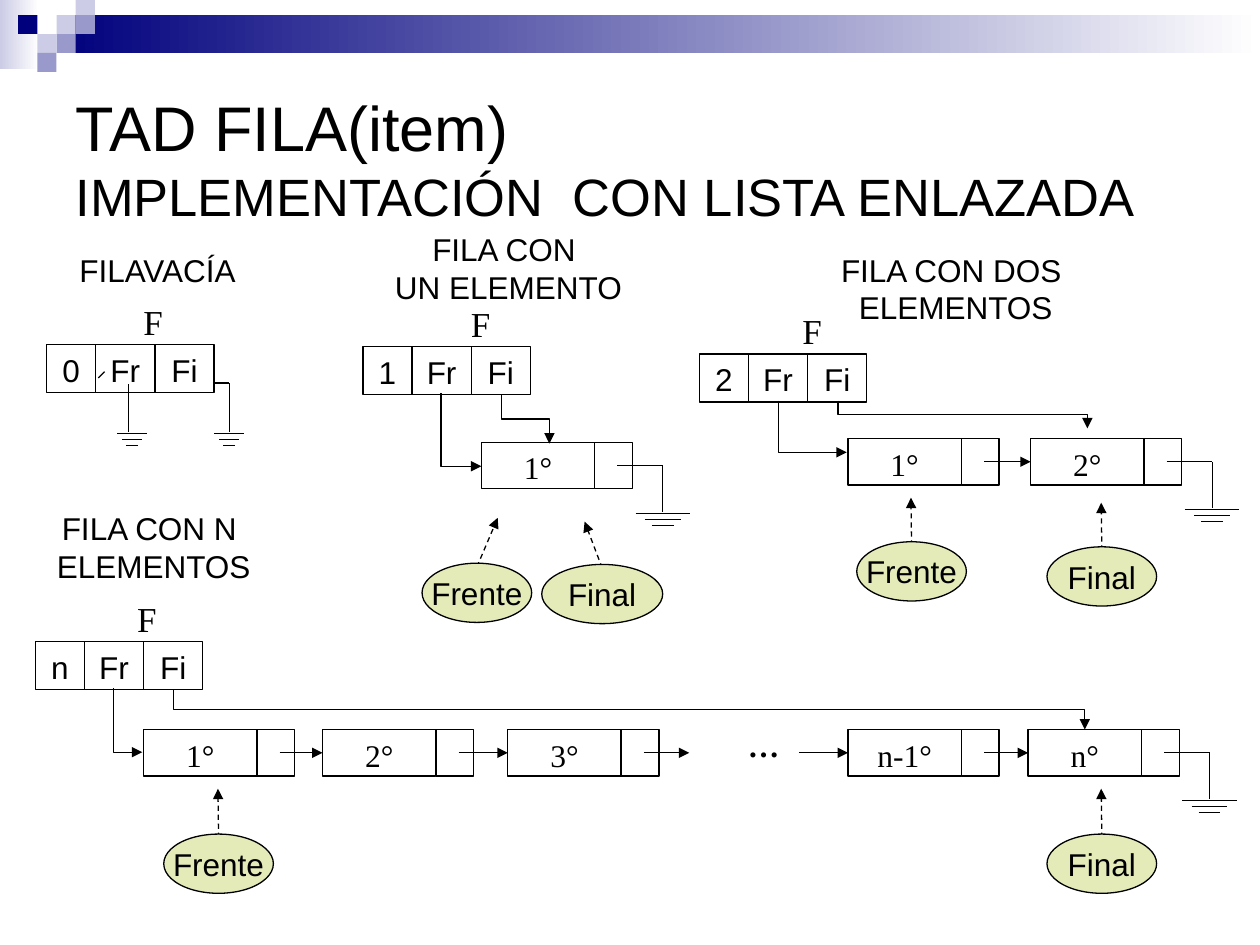
"""Slide on the linked-list implementation of a queue, with four states drawn."""
from dataclasses import dataclass

import pptx
import pptx.dml.color
import pptx.enum.dml
import pptx.enum.shapes
import pptx.enum.text
import pptx.oxml
import pptx.oxml.ns
import pptx.util
from lxml import etree

KIND = pptx.enum.shapes.MSO_SHAPE
WIRE = pptx.enum.shapes.MSO_CONNECTOR
ALIGN = pptx.enum.text.PP_ALIGN
ANCHOR = pptx.enum.text.MSO_ANCHOR
COLUMNS, ROWS = 100, 75
CELL = pptx.util.Inches(0.1)


@dataclass(frozen=True)
class Theme:
    ink: str = "000000"
    paper: str = "FFFFFF"
    oval: str = "E4EAB8"
    navy: str = "00007D"
    violet: str = "9999CC"
    pale: str = "CCCCE6"
    sans: str = "Arial"
    serif: str = "Times New Roman"
    title: int = 36
    subtitle: int = 30
    name: int = 20
    body: int = 18
    line: float = 0.75
    thin: float = 0.5


THEME = Theme()


def grid(*cells):
    """Turn columns or rows into slide lengths."""
    return [round(cell * CELL) for cell in cells]


def rgb(code):
    """Return the colour for a hex code."""
    return pptx.dml.color.RGBColor.from_string(code)


def set_font(font, face, size, bold=None):
    """Give a font its face, size and ink."""
    font.name, font.size, font.bold = face, pptx.util.Pt(size), bold
    font.color.rgb = rgb(THEME.ink)


def write(box, text, face=THEME.sans, size=THEME.body, wrap=True, bold=None):
    """Write centred paragraphs into a shape."""
    frame = box.text_frame
    frame.text, frame.word_wrap = text, wrap
    for para in frame.paragraphs:
        para.alignment = ALIGN.CENTER
        set_font(para.font, face, size, bold)


def add_label(page, text, place, **style):
    """Add a text box."""
    write(page.shapes.add_textbox(*grid(*place)), text, **style)


def add_block(page, place, fill, kind=KIND.RECTANGLE, outlined=True):
    """Add a filled shape; a pair of fills makes a gradient."""
    box = page.shapes.add_shape(kind, *grid(*place))
    box.shadow.inherit = False
    if isinstance(fill, tuple):
        box.fill.gradient()
        box.fill.gradient_angle = 0
        for stop, code in zip(box.fill.gradient_stops, fill):
            stop.color.rgb = rgb(code)
    else:
        box.fill.solid()
        box.fill.fore_color.rgb = rgb(fill)
    if outlined:
        box.line.color.rgb = rgb(THEME.ink)
        box.line.width = pptx.util.Pt(THEME.line)
    else:
        box.line.fill.background()
    box.text_frame.vertical_anchor = ANCHOR.TOP
    return box


def add_line(page, start, end, arrow=False, dashed=False, width=THEME.line, kind=WIRE.STRAIGHT):
    """Add a connector, with an arrowhead at its end if asked."""
    wire = page.shapes.add_connector(kind, *grid(*start, *end))
    wire.line.color.rgb = rgb(THEME.ink)
    wire.line.width = pptx.util.Pt(width)
    if dashed:
        wire.line.dash_style = pptx.enum.dml.MSO_LINE.DASH
    if arrow:
        etree.SubElement(wire.line._get_or_add_ln(), pptx.oxml.ns.qn("a:tailEnd"), type="triangle")
    etree.SubElement(wire._element.spPr, pptx.oxml.ns.qn("a:effectLst"))
    return wire


def add_elbow(page, start, end, preset):
    """Add a bent arrow that leaves its start downwards."""
    across, down = end[0] - start[0], end[1] - start[1]
    left = (start[0] + end[0] - down) / 2
    top = (start[1] + end[1] - across) / 2
    wire = add_line(page, (left, top), (left + down, top + across), arrow=True, kind=WIRE.ELBOW)
    frame = wire._element.spPr.find(pptx.oxml.ns.qn("a:xfrm"))
    frame.set("rot", "16200000")
    frame.set("flipH", "1")
    wire._element.spPr.find(pptx.oxml.ns.qn("a:prstGeom")).set("prst", preset)


def add_ground(page, column, top, bottom, width, middle=None):
    """Add a stem that ends in three shrinking bars."""
    add_line(page, (column, top), (column, bottom), width=THEME.thin)
    middle = middle or column
    for step, share in enumerate((1, 0.66, 0.4)):
        half, row = width * share / 2, bottom + 0.1 + step * 0.47
        add_line(page, (middle - half, row), (middle + half, row))


def add_header(page, count, column, row, name_column):
    """Add a queue record: count, front and end, with F above."""
    add_label(page, "F", (name_column, row - 4, 5.3, 5.7), face=THEME.serif, size=THEME.name)
    for text, left, width in ((count, -3.9, 3.9), ("Fr", 0, 4.7), ("Fi", 4.7, 4.7)):
        write(add_block(page, (column + left, row, width, 3.8), THEME.paper), text, wrap=False)


def add_node(page, text, column, row):
    """Add a list node and return its value box."""
    value = add_block(page, (column, row, 9, 3.7), THEME.paper)
    write(value, text, face=THEME.serif, wrap=False)
    add_block(page, (column + 9, row, 3, 3.7), THEME.paper)
    return value


def add_next(page, column, row, target=None):
    """Add the arrow out of the node at a column, joined to its target."""
    start = column + 10.8
    wire = add_line(page, (start, row + 1.85), (start + 3.6, row + 1.85), arrow=True)
    if target:
        wire.end_connect(target, 1)


def add_null(page, column, row):
    """End the list at a node with a ground sign."""
    level = row + 1.85
    add_line(page, (column + 10.8, level), (column + 14.4, level))
    add_ground(page, column + 14.4, level, level + 3.7, 4.3)


def add_marker(page, text, column, row, tip, width=8.7):
    """Add an oval with a dashed arrow up to its tip."""
    middle = column + width / 2
    add_line(page, (middle, row + 0.3), tip, arrow=True, dashed=True)
    oval = add_block(page, (column, row, width, 4.7), THEME.oval, KIND.OVAL)
    write(oval, text, wrap=False)
    oval.text_frame.vertical_anchor = ANCHOR.MIDDLE


def add_band(page):
    """Add the gradient band and its checkered corner."""
    add_block(page, (0, -0.3, 3.1, 5.8), (THEME.pale, THEME.paper), outlined=False)
    add_block(page, (4.5, 1.2, 95.5, 3), (THEME.navy, THEME.paper), outlined=False)
    squares = ((2, 1, THEME.pale), (3, 0, THEME.pale), (3, 1, THEME.violet), (1, 2, THEME.pale),
               (0, 1, THEME.navy), (2, 2, THEME.violet), (1, 3, THEME.violet))
    for column, row, fill in squares:
        place = (1.45 + column * 1.52, -0.3 + row * 1.5, 1.52, 1.5)
        add_block(page, place, fill, outlined=False)


def add_title(page):
    """Fill and place the title."""
    title = page.shapes.title
    title.left, title.top, title.width, title.height = grid(5, 5, 90, 15)
    title.text_frame.vertical_anchor = ANCHOR.MIDDLE
    para = title.text_frame.paragraphs[0]
    para.alignment = ALIGN.LEFT
    set_font(para.font, THEME.sans, THEME.title)
    para.add_run().text = "TAD FILA(item)"
    para.add_line_break()
    span = para.add_run()
    span.text = "IMPLEMENTACIÓN  CON LISTA ENLAZADA"
    span.font.size = pptx.util.Pt(THEME.subtitle)


def add_empty_queue(page):
    """Draw the empty queue."""
    add_label(page, "FILAVACÍA", (5.1, 19.4, 14.8, 4), wrap=False)
    add_header(page, "0", 7.6, 27.35, 9.5)
    add_line(page, (7.8, 30), (8.3, 29.5))
    add_ground(page, 10.2, 30.5, 34.3, 2.4, middle=10.5)
    add_line(page, (16.9, 30.4), (18.2, 30.4))
    add_ground(page, 18.2, 30.4, 34.3, 2.4)


def add_single_queue(page):
    """Draw the queue with one element."""
    add_label(page, "FILA CON \nUN ELEMENTO", (30.3, 17.8, 20.1, 7), wrap=False)
    add_header(page, "1", 32.7, 27.5, 35.5)
    add_node(page, "1°", 38.2, 35.1)
    add_null(page, 38.2, 35.1)
    add_elbow(page, (35, 31.2), (38.2, 37), "bentConnector2")
    add_elbow(page, (39.8, 31.3), (43.6, 35.2), "bentConnector3")
    add_marker(page, "Frente", 33.5, 44.7, (39.5, 41.1))
    add_marker(page, "Final", 43, 44.8, (46.4, 41.4), width=9.6)


def add_double_queue(page):
    """Draw the queue with two elements."""
    add_label(page, "FILA CON DOS \nELEMENTOS", (65.7, 19.4, 20.3, 7), wrap=False)
    add_header(page, "2", 59.4, 28.1, 61.8)
    add_node(page, "1°", 67.3, 34.8)
    add_next(page, 67.3, 34.8, add_node(page, "2°", 81.8, 34.8))
    add_null(page, 81.8, 34.8)
    add_elbow(page, (61.8, 31.8), (67.2, 35.9), "bentConnector2")
    add_elbow(page, (66.5, 31.8), (86.3, 34), "bentConnector3")
    add_marker(page, "Frente", 68, 43, (72.3, 39.5))
    add_marker(page, "Final", 83.1, 43.4, (87.4, 39.9))


def add_long_queue(page):
    """Draw the queue with n elements."""
    row = 57.9
    add_label(page, "FILA CON N \nELEMENTOS", (3.5, 39.9, 17.4, 7), wrap=False)
    add_header(page, "n", 6.7, 50.9, 9)
    places = {"1°": 11.4, "2°": 25.6, "3°": 40.3, "n-1°": 67.3, "n°": 81.6}
    nodes = {text: add_node(page, text, column, row) for text, column in places.items()}
    for text, following in (("1°", "2°"), ("2°", "3°"), ("3°", None), ("n-1°", "n°")):
        add_next(page, places[text], row, nodes.get(following))
    add_label(page, "…", (57.9, 57.1, 5.4, 5.6), face=THEME.serif, bold=True)
    add_line(page, (63.4, row + 1.85), (66.7, row + 1.85), arrow=True).end_connect(nodes["n-1°"], 1)
    add_null(page, places["n°"], row)
    add_elbow(page, (9, 54.6), (11.3, 59.7), "bentConnector2")
    add_elbow(page, (13.8, 54.7), (86.1, row), "bentConnector3")
    add_marker(page, "Frente", 13, 66.2, (17.3, 62.6))
    add_marker(page, "Final", 83.1, 66.2, (87.4, 62.6))


def main():
    """Build and save the deck."""
    deck = pptx.Presentation()
    deck.slide_width, deck.slide_height = grid(COLUMNS, ROWS)
    page = deck.slides.add_slide(deck.slide_layouts[5])
    for add_part in (add_band, add_title, add_empty_queue, add_single_queue,
                     add_double_queue, add_long_queue):
        add_part(page)
    deck.save("out.pptx")


if __name__ == "__main__":
    main()
